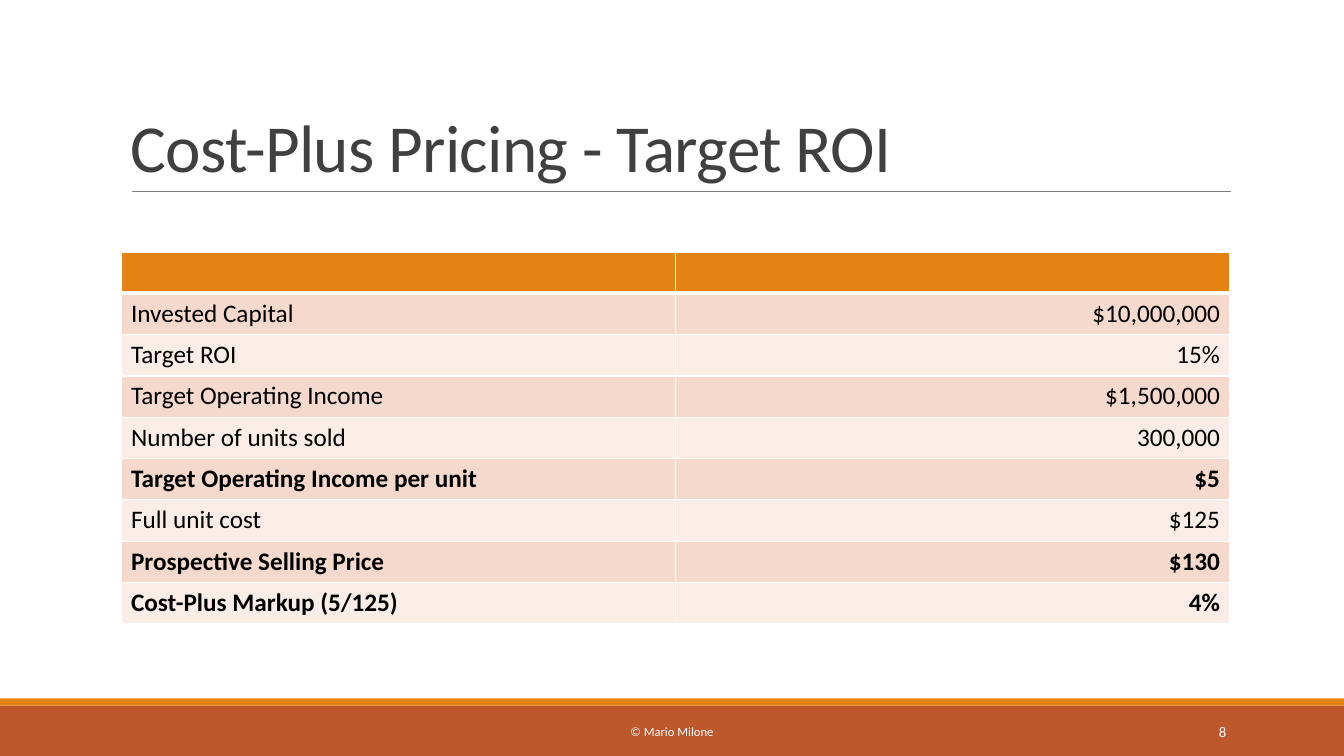
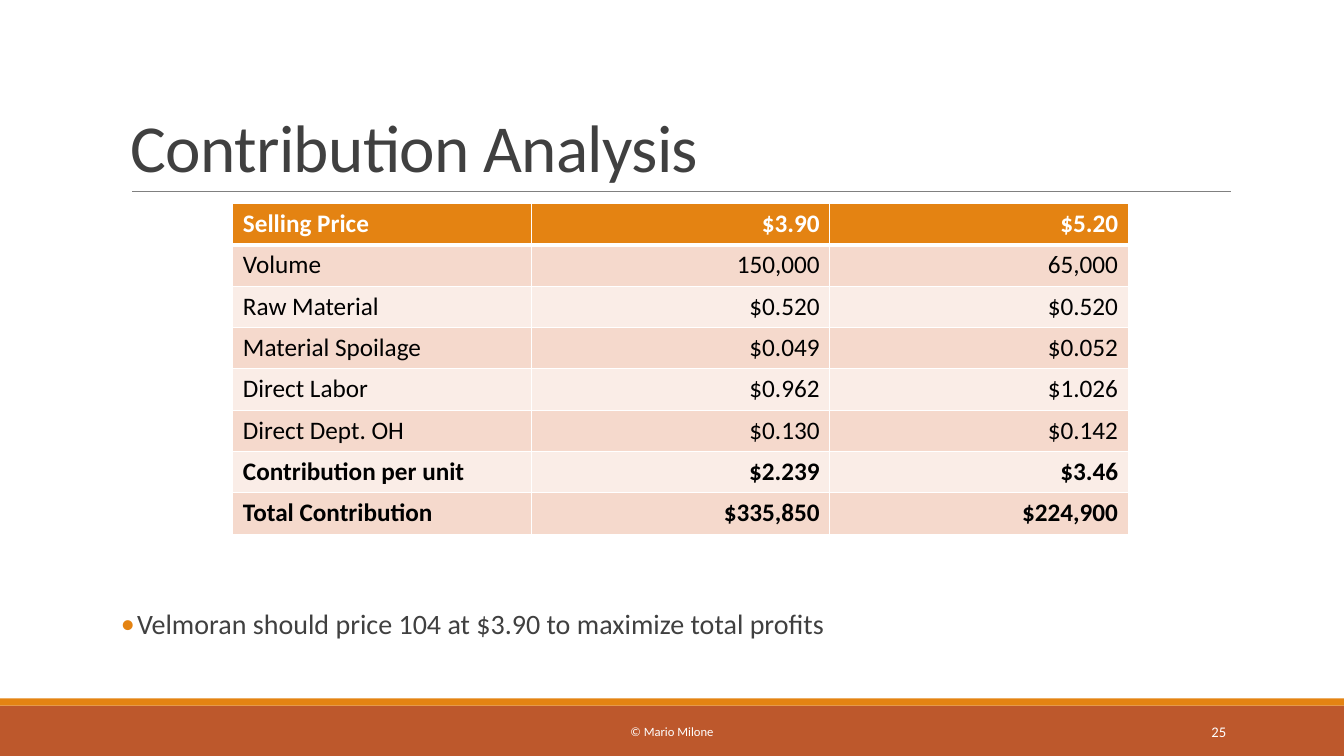
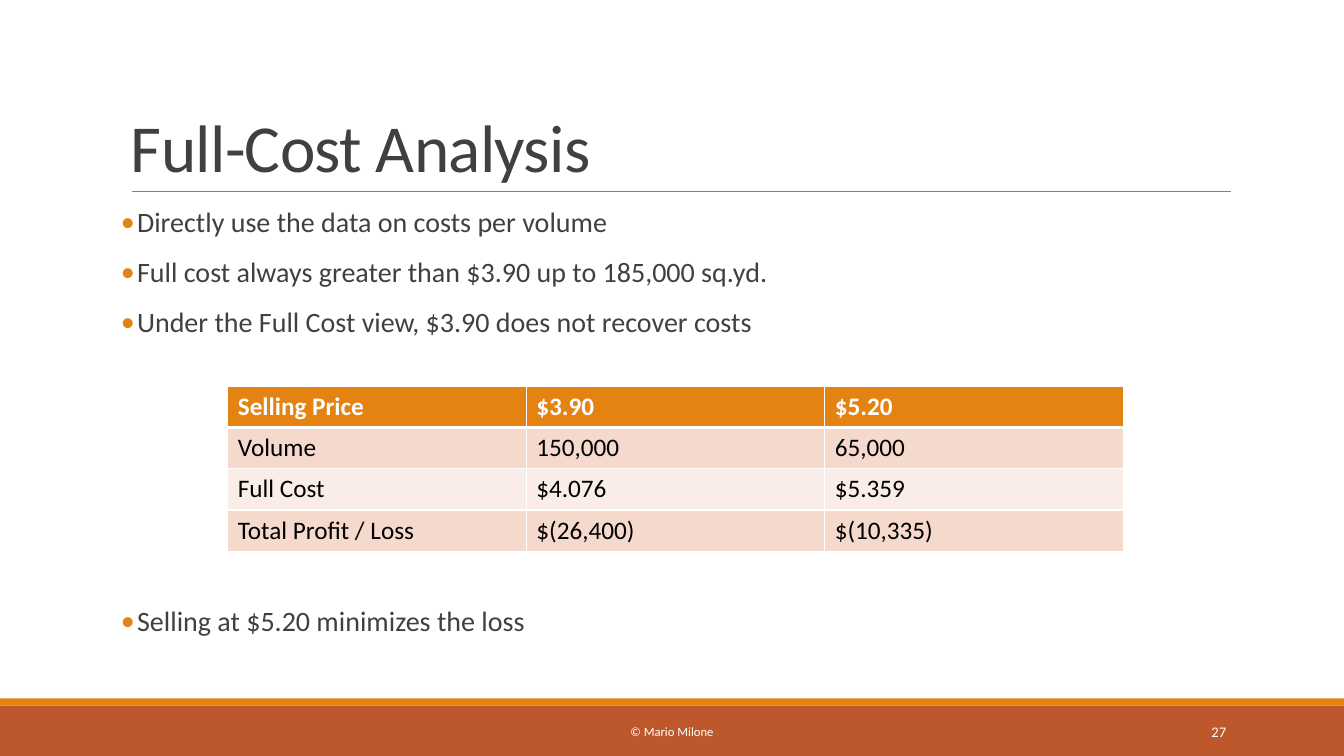
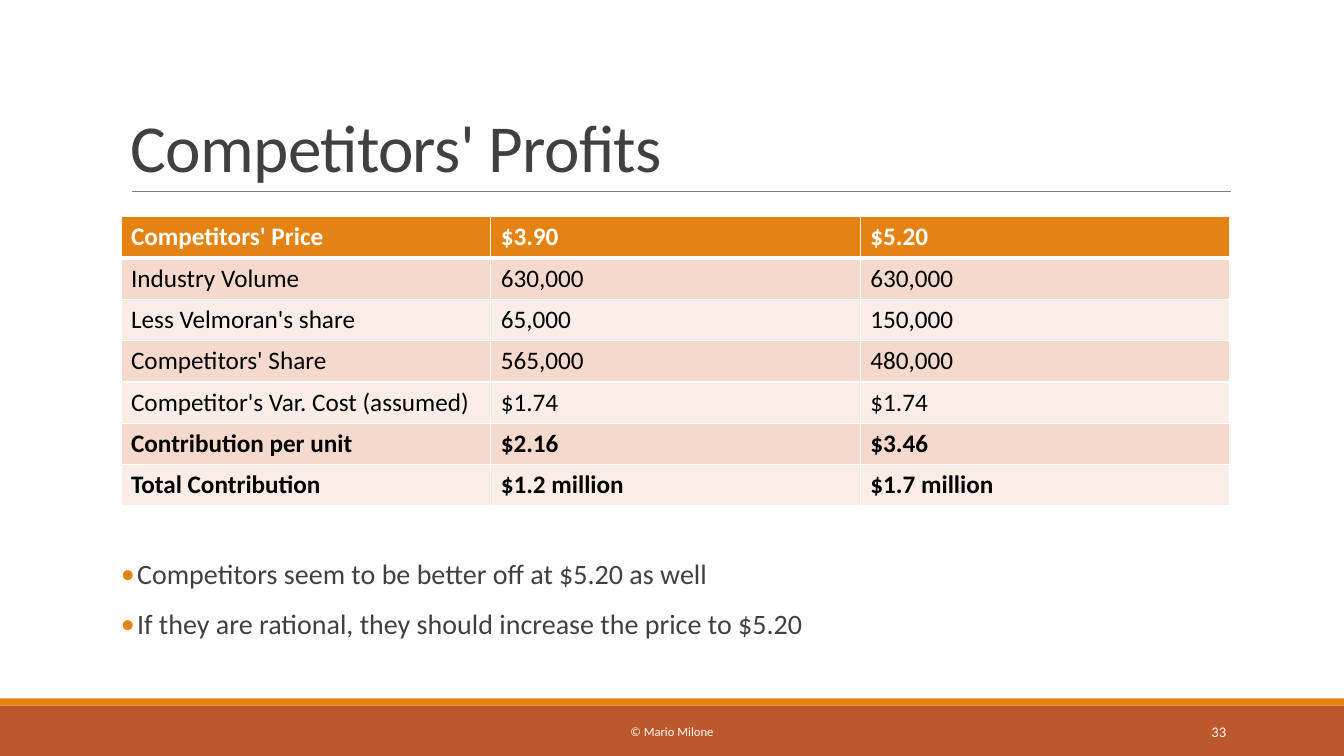
from dataclasses import dataclass

from lxml import etree
from pptx import Presentation
from pptx.dml.color import RGBColor
from pptx.enum import shapes, text
from pptx.oxml import ns
from pptx.util import Inches, Pt


@dataclass(frozen=True)
class Theme:
    """Colours, font and type sizes shared by all slides."""
    font: str = "Calibri"
    rust: str = "BD582C"
    orange: str = "E48312"
    rule: str = "808080"
    ink: str = "404040"
    black: str = "000000"
    white: str = "FFFFFF"
    row_dark: str = "F5D9CC"
    row_light: str = "FAEDE7"
    title: float = 48
    body: float = 20
    cell: float = 18
    number: float = 10.5
    footer: float = 9


T = Theme()
LEFT, CENTER, RIGHT = (text.PP_ALIGN.LEFT, text.PP_ALIGN.CENTER,
                       text.PP_ALIGN.RIGHT)
CONTENT_LEFT, CONTENT_WIDTH = 1.2, 11
ROW_HEIGHT = 0.41


def rgb(color):
    """Turn a hex string into a colour."""
    return RGBColor.from_string(color)


def style(p, size, color, bold=False, align=LEFT):
    """Format a paragraph and all its runs."""
    p.alignment = align
    for font in [p.font] + [r.font for r in p.runs]:
        font.name, font.size, font.bold = T.font, Pt(size), bold
        font.color.rgb = rgb(color)


def add_band(s, top, height, color):
    """Draw a full-width band."""
    sp = s.shapes.add_shape(shapes.MSO_SHAPE.RECTANGLE, 0, Inches(top),
                            Inches(13.33), Inches(height))
    sp.shadow.inherit = False
    sp.fill.solid()
    sp.fill.fore_color.rgb = rgb(color)
    sp.line.fill.background()


def add_rule(s):
    """Draw the thin line under the title."""
    line = s.shapes.add_connector(shapes.MSO_CONNECTOR.STRAIGHT, Inches(1.31),
                                  Inches(1.9), Inches(12.21), Inches(1.9))
    line.line.color.rgb = rgb(T.rule)
    line.line.width = Pt(0.5)
    etree.SubElement(line._element.spPr, ns.qn("a:effectLst"))


def add_text(s, left, top, width, height, lines, size, color,
             align=LEFT, anchor=text.MSO_ANCHOR.MIDDLE):
    """Add a wrapping text box and return its text frame."""
    tf = s.shapes.add_textbox(Inches(left), Inches(top), Inches(width),
                              Inches(height)).text_frame
    tf.word_wrap = True
    tf.vertical_anchor = anchor
    tf.text = "\n".join(lines)
    for p in tf.paragraphs:
        style(p, size, color, align=align)
    return tf


def add_title(s, title):
    """Add the slide title, resting on the rule."""
    tf = add_text(s, CONTENT_LEFT, 0.31, CONTENT_WIDTH, 1.59, [title],
                  T.title, T.ink, anchor=text.MSO_ANCHOR.BOTTOM)
    p = tf.paragraphs[0]
    p.line_spacing = 0.85
    for r in p.runs:
        r.font._element.set("spc", "-50")


def add_bullets(s, top, lines):
    """Add a bulleted list that starts at the given height."""
    tf = add_text(s, CONTENT_LEFT, top, CONTENT_WIDTH, 0.5 * len(lines), lines,
                  T.body, T.ink, anchor=text.MSO_ANCHOR.TOP)
    tf.margin_left = tf.margin_right = 0
    indent = Inches(0.16)
    for i, p in enumerate(tf.paragraphs):
        p.line_spacing = 0.9
        p.space_before, p.space_after = Pt(12 if i else 0), Pt(2)
        pPr = p._p.get_or_add_pPr()
        pPr.set("marL", str(indent))
        pPr.set("indent", str(-indent))
        bullet_color = etree.Element(ns.qn("a:buClr"))
        etree.SubElement(bullet_color, ns.qn("a:srgbClr"), val=T.orange)
        bullet_font = etree.Element(ns.qn("a:buFont"), typeface=T.font)
        bullet = etree.Element(ns.qn("a:buChar"), char="•")
        at = pPr.index(pPr.find(ns.qn("a:spcAft"))) + 1
        pPr[at:at] = [bullet_color, bullet_font, bullet]


def set_borders(cell, bottom):
    """Give a cell white borders, with its own bottom width."""
    tcPr = cell._tc.get_or_add_tcPr()
    for side, width in (("L", 1), ("R", 1), ("T", 1), ("B", bottom)):
        ln = etree.SubElement(tcPr, ns.qn("a:ln" + side), w=str(Pt(width)))
        fill = etree.SubElement(ln, ns.qn("a:solidFill"))
        etree.SubElement(fill, ns.qn("a:srgbClr"), val=T.white)


def add_data_table(s, left, top, width, rows, bold_rows=(), align=LEFT):
    """Add a banded table; align applies to the value columns."""
    table = s.shapes.add_table(len(rows), len(rows[0]), Inches(left),
                               Inches(top), Inches(width),
                               Inches(ROW_HEIGHT * len(rows))).table
    for i, row in enumerate(rows):
        header = i == 0
        band = T.orange if header else T.row_dark if i % 2 else T.row_light
        for j, value in enumerate(row):
            cell = table.cell(i, j)
            set_borders(cell, 3 if header else 1)
            cell.fill.solid()
            cell.fill.fore_color.rgb = rgb(band)
            cell.text_frame.text = value
            style(cell.text_frame.paragraphs[0], T.cell,
                  T.white if header else T.black,
                  bold=header or i in bold_rows, align=align if j else LEFT)


def add_base(prs, title, number):
    """Add a slide with bands, rule, title and footer."""
    s = prs.slides.add_slide(prs.slide_layouts[6])
    add_band(s, 7, 0.5, T.rust)
    add_band(s, 6.93, 0.07, T.orange)
    add_rule(s)
    add_title(s, title)
    add_text(s, 4.03, 7.06, 5.27, 0.4, ["© Mario Milone"], T.footer, T.white,
             CENTER)
    add_text(s, 10.83, 7.06, 1.43, 0.4, [str(number)], T.number, T.white,
             RIGHT)
    return s


def main():
    """Build the four pricing slides."""
    prs = Presentation()
    prs.slide_width, prs.slide_height = Inches(13.33), Inches(7.5)

    s = add_base(prs, "Cost-Plus Pricing - Target ROI", 8)
    add_data_table(s, CONTENT_LEFT, 2.5, CONTENT_WIDTH, [
        ("", ""),
        ("Invested Capital", "$10,000,000"),
        ("Target ROI", "15%"),
        ("Target Operating Income", "$1,500,000"),
        ("Number of units sold", "300,000"),
        ("Target Operating Income per unit", "$5"),
        ("Full unit cost", "$125"),
        ("Prospective Selling Price", "$130"),
        ("Cost-Plus Markup (5/125)", "4%"),
    ], bold_rows=(5, 7, 8), align=RIGHT)

    s = add_base(prs, "Contribution Analysis", 25)
    add_bullets(s, 6.01, [
        "Velmoran should price 104 at $3.90 to maximize total profits"])
    add_data_table(s, 2.31, 2.02, 8.88, [
        ("Selling Price", "$3.90", "$5.20"),
        ("Volume", "150,000", "65,000"),
        ("Raw Material", "$0.520", "$0.520"),
        ("Material Spoilage", "$0.049", "$0.052"),
        ("Direct Labor", "$0.962", "$1.026"),
        ("Direct Dept. OH", "$0.130", "$0.142"),
        ("Contribution per unit", "$2.239", "$3.46"),
        ("Total Contribution", "$335,850", "$224,900"),
    ], bold_rows=(6, 7), align=RIGHT)

    s = add_base(prs, "Full-Cost Analysis", 27)
    add_bullets(s, 2.02, [
        "Directly use the data on costs per volume",
        "Full cost always greater than $3.90 up to 185,000 sq.yd.",
        "Under the Full Cost view, $3.90 does not recover costs"])
    add_data_table(s, 2.26, 3.83, 8.88, [
        ("Selling Price", "$3.90", "$5.20"),
        ("Volume", "150,000", "65,000"),
        ("Full Cost", "$4.076", "$5.359"),
        ("Total Profit / Loss", "$(26,400)", "$(10,335)"),
    ])
    add_bullets(s, 5.98, ["Selling at $5.20 minimizes the loss"])

    s = add_base(prs, "Competitors' Profits", 33)
    add_bullets(s, 5.51, [
        "Competitors seem to be better off at $5.20 as well",
        "If they are rational, they should increase the price to $5.20"])
    add_data_table(s, CONTENT_LEFT, 2.15, CONTENT_WIDTH, [
        ("Competitors' Price", "$3.90", "$5.20"),
        ("Industry Volume", "630,000", "630,000"),
        ("Less Velmoran's share", "65,000", "150,000"),
        ("Competitors' Share", "565,000", "480,000"),
        ("Competitor's Var. Cost (assumed)", "$1.74", "$1.74"),
        ("Contribution per unit", "$2.16", "$3.46"),
        ("Total Contribution", "$1.2 million", "$1.7 million"),
    ], bold_rows=(5, 6))

    prs.save("out.pptx")


main()
